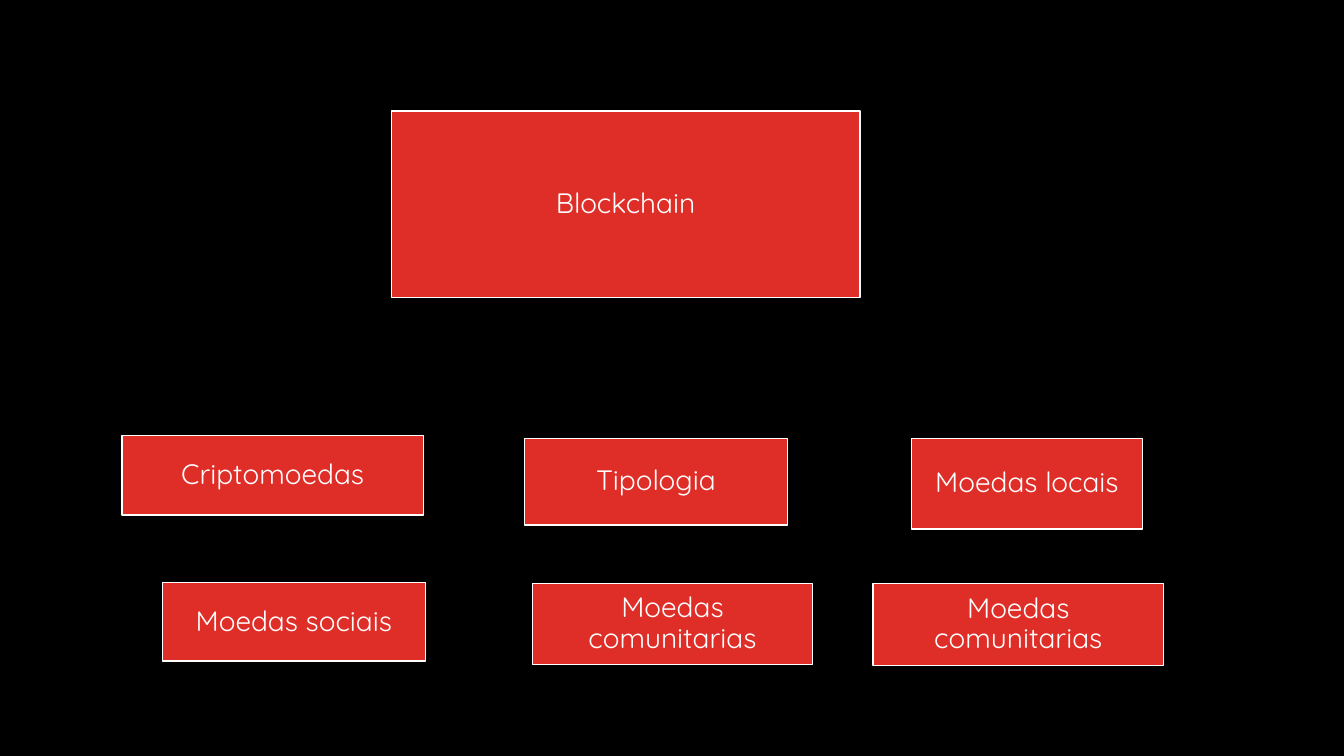
from pptx import Presentation
from pptx.dml.color import RGBColor
from pptx.enum.shapes import MSO_SHAPE
from pptx.enum.text import MSO_ANCHOR, PP_ALIGN
from pptx.util import Inches, Pt

BLACK = RGBColor(0x00, 0x00, 0x00)
RED = RGBColor(0xDF, 0x2E, 0x28)
WHITE = RGBColor(0xFF, 0xFF, 0xFF)
RECTANGLE = MSO_SHAPE.RECTANGLE
MIDDLE = MSO_ANCHOR.MIDDLE
CENTER = PP_ALIGN.CENTER

INSET = Inches(0.08)
FRAME_FORMAT = {
    "word_wrap": True, "vertical_anchor": MIDDLE,
    "margin_left": INSET, "margin_top": INSET,
    "margin_right": INSET, "margin_bottom": INSET,
}
PARAGRAPH_FORMAT = {"alignment": CENTER, "line_spacing": 0.9, "space_after": Pt(7)}
FONT_FORMAT = {"name": "Quicksand", "size": Pt(20)}

# Each row: concepts as (label, left, top, width, height) in inches
ROWS = [
    [("Blockchain", 3.88, 1.1, 4.65, 1.85)],
    [("Criptomoedas", 1.21, 4.32, 2.99, 0.79),
     ("Tipologia", 5.2, 4.35, 2.61, 0.86),
     ("Moedas locais", 9.04, 4.35, 2.29, 0.9)],
    [("Moedas sociais", 1.61, 5.78, 2.61, 0.78),
     ("Moedas comunitarias", 5.28, 5.79, 2.78, 0.8),
     ("Moedas comunitarias", 8.66, 5.79, 2.88, 0.81)],
]


def apply_format(target, values):
    for attribute, value in values.items():
        setattr(target, attribute, value)


prs = Presentation()
prs.slide_width, prs.slide_height = Inches(13.33), Inches(7.5)
slide = prs.slides.add_slide(prs.slide_layouts[6])
slide.background.fill.solid()
slide.background.fill.fore_color.rgb = BLACK

for row in ROWS:
    for label, *bounds in row:
        concept = slide.shapes.add_shape(RECTANGLE, *map(Inches, bounds))
        concept.shadow.inherit = False
        concept.fill.solid()
        concept.fill.fore_color.rgb = RED
        concept.line.color.rgb = WHITE
        concept.line.width = Pt(1)

        frame = concept.text_frame
        apply_format(frame, FRAME_FORMAT)
        paragraph = frame.paragraphs[0]
        apply_format(paragraph, PARAGRAPH_FORMAT)
        run = paragraph.add_run()
        run.text = label
        apply_format(run.font, FONT_FORMAT)
        run.font.color.rgb = WHITE

prs.save("out.pptx")
